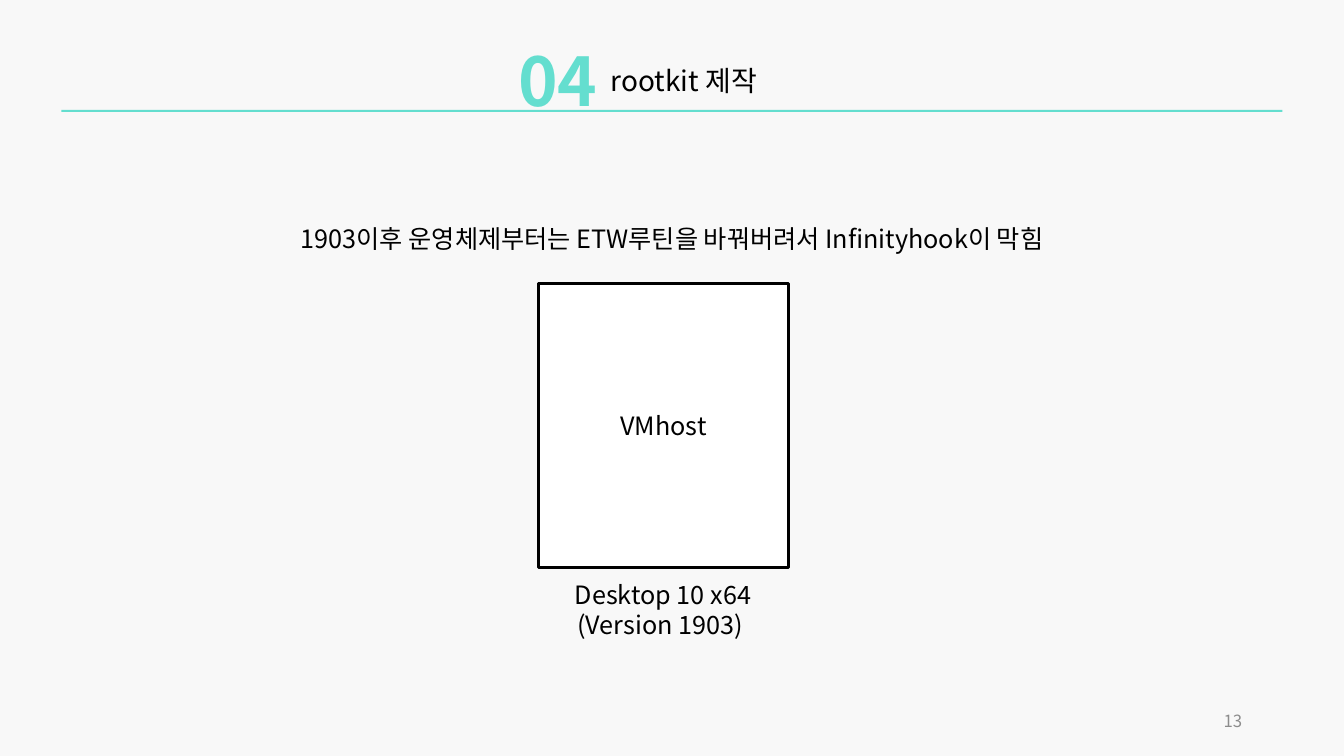
from lxml import etree
from pptx import Presentation
from pptx.dml.color import RGBColor
from pptx.enum.shapes import MSO_SHAPE
from pptx.enum.text import MSO_ANCHOR, PP_ALIGN
from pptx.oxml.ns import qn
from pptx.util import Inches, Pt

RECT = MSO_SHAPE.RECTANGLE
LEFT, CENTER, RIGHT = PP_ALIGN.LEFT, PP_ALIGN.CENTER, PP_ALIGN.RIGHT
TOP, MIDDLE = MSO_ANCHOR.TOP, MSO_ANCHOR.MIDDLE
FONT = "Noto Sans CJK KR"
COLORS = {"back": "F8F8F8", "accent": "64DECF", "text": "000000",
          "muted": "8C8C8C", "white": "FFFFFF"}


def rgb(name):
    return RGBColor.from_string(COLORS[name])


class SlideBuilder:
    """Holds the style and the current slide."""

    def __init__(self, s):
        self.s = s
        fill = s.background.fill
        fill.solid()
        fill.fore_color.rgb = rgb("back")

    def add_lines(self, sp, lines, size=18, color="text", bold=False,
                  align=LEFT, anchor=TOP, wrap=True):
        tf = sp.text_frame
        for name, value in {"word_wrap": wrap, "vertical_anchor": anchor}.items():
            setattr(tf, name, value)
        style = {"name": FONT, "size": Pt(size), "bold": bold}
        for i, line in enumerate(lines):
            p = tf.add_paragraph() if i else tf.paragraphs[0]
            p.alignment = align
            r = p.add_run()
            r.text = line
            for name, value in style.items():
                setattr(r.font, name, value)
            r.font.color.rgb = rgb(color)
            # Hangul takes the East Asian font
            ea = etree.SubElement(r._r.get_or_add_rPr(), qn("a:ea"))
            ea.set("typeface", FONT)

    def text(self, box, *lines, **style):
        sp = self.s.shapes.add_textbox(*map(Inches, box))
        self.add_lines(sp, lines, **style)

    def rect(self, box, fill, line=None, width=2.25):
        sp = self.s.shapes.add_shape(RECT, *map(Inches, box))
        sp.shadow.inherit = False
        sp.fill.solid()
        sp.fill.fore_color.rgb = rgb(fill)
        if line:
            sp.line.color.rgb = rgb(line)
            sp.line.width = Pt(width)
        else:
            sp.line.fill.background()
        return sp


prs = Presentation()
prs.slide_width, prs.slide_height = Inches(13.33), Inches(7.5)
b = SlideBuilder(prs.slides.add_slide(prs.slide_layouts[6]))

# Header
b.rect((0.61, 1.09, 12.11, 0.02), "accent")
b.text((5.04, 0.34, 1.01, 0.91), "04", size=48, color="accent", bold=True, wrap=False)
b.text((5.96, 0.58, 2.81, 0.44), "rootkit 제작", size=20)

# Statement
b.text((2.09, 2.17, 9.15, 0.4),
       "1903이후 운영체제부터는 ETW루틴을 바꿔버려서 Infinityhook이 막힘", align=CENTER)

# Virtual machine and its system
machine = b.rect((5.34, 2.81, 2.48, 2.82), "white", line="text")
b.add_lines(machine, ["VMhost"], align=CENTER, anchor=MIDDLE)
b.text((5.04, 5.7, 3.07, 1.01), "Desktop 10 x64", "(Version 1903) ", align=CENTER)

# Page number
b.text((9.42, 6.95, 3, 0.4), "13", size=12, color="muted", align=RIGHT, anchor=MIDDLE)

prs.save("out.pptx")
